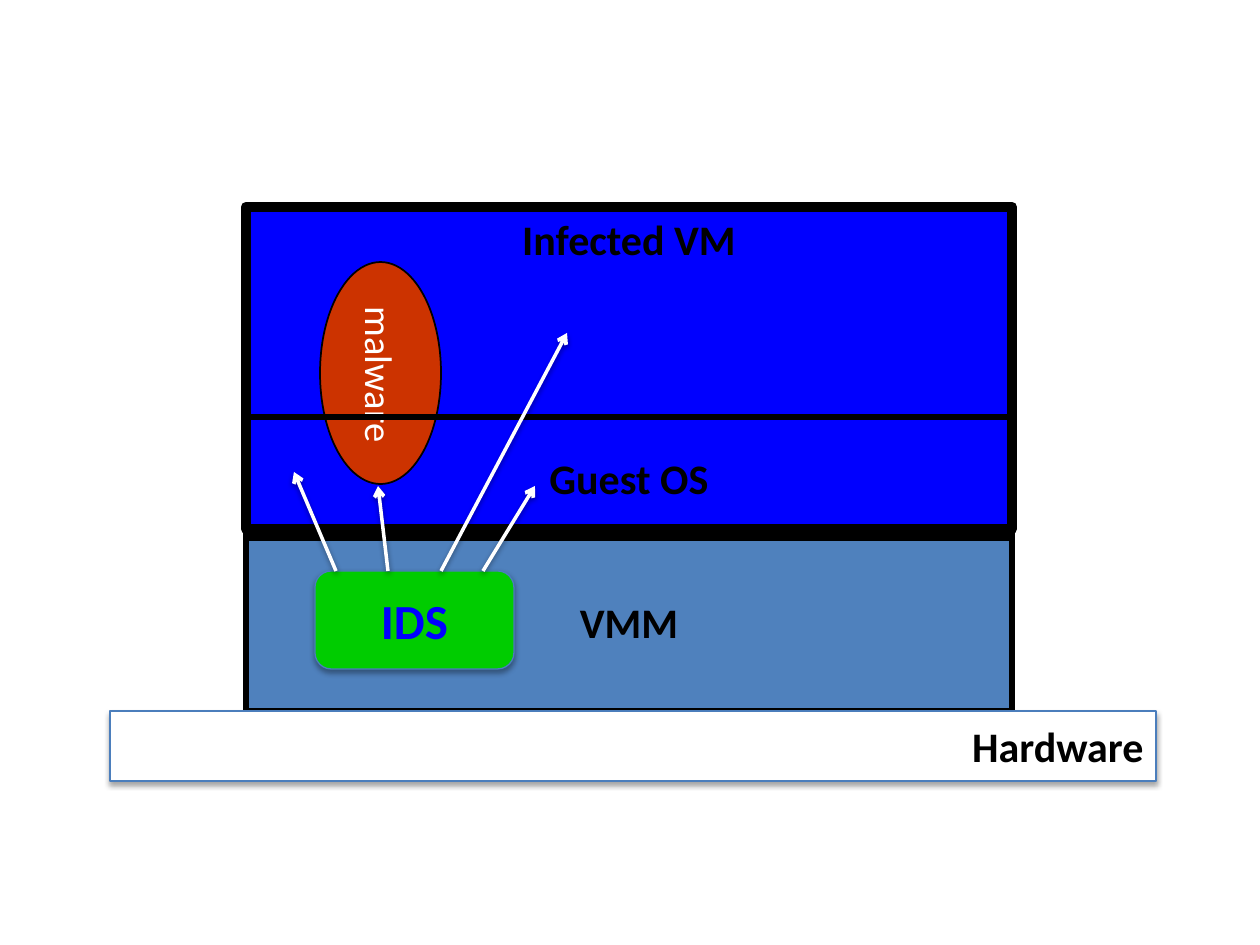
from lxml.etree import SubElement
from pptx import Presentation
from pptx.dml.color import RGBColor
from pptx.enum.shapes import MSO_CONNECTOR, MSO_SHAPE as Shape
from pptx.enum.text import MSO_ANCHOR as Anchor, PP_ALIGN as Align
from pptx.oxml.ns import qn
from pptx.util import Pt

BLACK = RGBColor(0x00, 0x00, 0x00)
WHITE = RGBColor(0xFF, 0xFF, 0xFF)
BLUE = RGBColor(0x00, 0x00, 0xFF)
RED = RGBColor(0xCC, 0x33, 0x00)
STEEL = RGBColor(0x4F, 0x81, 0xBD)
EDGE = RGBColor(0x4B, 0x7E, 0xBC)
GREEN = RGBColor(0x00, 0xCC, 0x00)

SCALE = 914400 / 126


def px(*vals):
    return [round(v * SCALE) for v in vals]


def box(kind, at, fill, edge, width, text, size, color, bold=True):
    shape = slide.shapes.add_shape(kind, *px(*at))
    if fill is None:
        shape.fill.background()
    else:
        shape.fill.solid()
        shape.fill.fore_color.rgb = fill
    shape.line.color.rgb = edge
    shape.line.width = Pt(width)
    frame = shape.text_frame
    frame.text = text
    frame.vertical_anchor = Anchor.MIDDLE
    para = frame.paragraphs[0]
    para.alignment = Align.CENTER
    font = para.font
    font.name, font.size, font.bold = "Calibri", Pt(size), bold
    font.color.rgb = color
    return shape


prs = Presentation()
prs.slide_width, prs.slide_height = px(1260, 945)
slide = prs.slides.add_slide(prs.slide_layouts[6])

# Software stack, from back to front
LEFT, WIDE = 246, 766
guest = box(Shape.RECTANGLE, (LEFT, 207, WIDE, 322), BLUE, BLACK, 6,
            "Infected VM", 24, BLACK)
guest.text_frame.vertical_anchor = Anchor.TOP
bug = box(Shape.OVAL, (320, 262, 121, 222), RED, BLACK, 1,
          "malware", 22, WHITE, bold=False)
bug.element.txBody.find(qn("a:bodyPr")).set("vert", "eaVert")
vmm = box(Shape.RECTANGLE, (LEFT, 532, WIDE, 179), STEEL, BLACK, 3,
          "VMM", 24, BLACK)
kernel = box(Shape.RECTANGLE, (LEFT, 417, WIDE, 121), None, BLACK, 3,
             "Guest OS", 24, BLACK)
for shape in (guest, bug, vmm, kernel):
    shape.shadow.inherit = False
    shape.text_frame.word_wrap = False

# Hardware and detector keep the theme shadow
base = box(Shape.RECTANGLE, (110, 711, 1046, 70), WHITE, EDGE, 0.75,
           "Hardware", 24, BLACK)
base.text_frame.paragraphs[0].alignment = Align.RIGHT
TOP = 571
box(Shape.ROUNDED_RECTANGLE, (315, TOP, 199, 98), GREEN, EDGE, 0.75,
    "IDS", 28, BLUE)

# Probes from the detector, also with the theme shadow
for start, x, y in ((483, 535, 486), (441, 567, 333),
                    (388, 378, 486), (336, 294, 472)):
    probe = slide.shapes.add_connector(MSO_CONNECTOR.STRAIGHT,
                                       *px(start, TOP, x, y))
    probe.line.color.rgb = WHITE
    probe.line.width = Pt(2)
    SubElement(probe.line._get_or_add_ln(), qn("a:tailEnd"), type="arrow")

prs.save("out.pptx")
